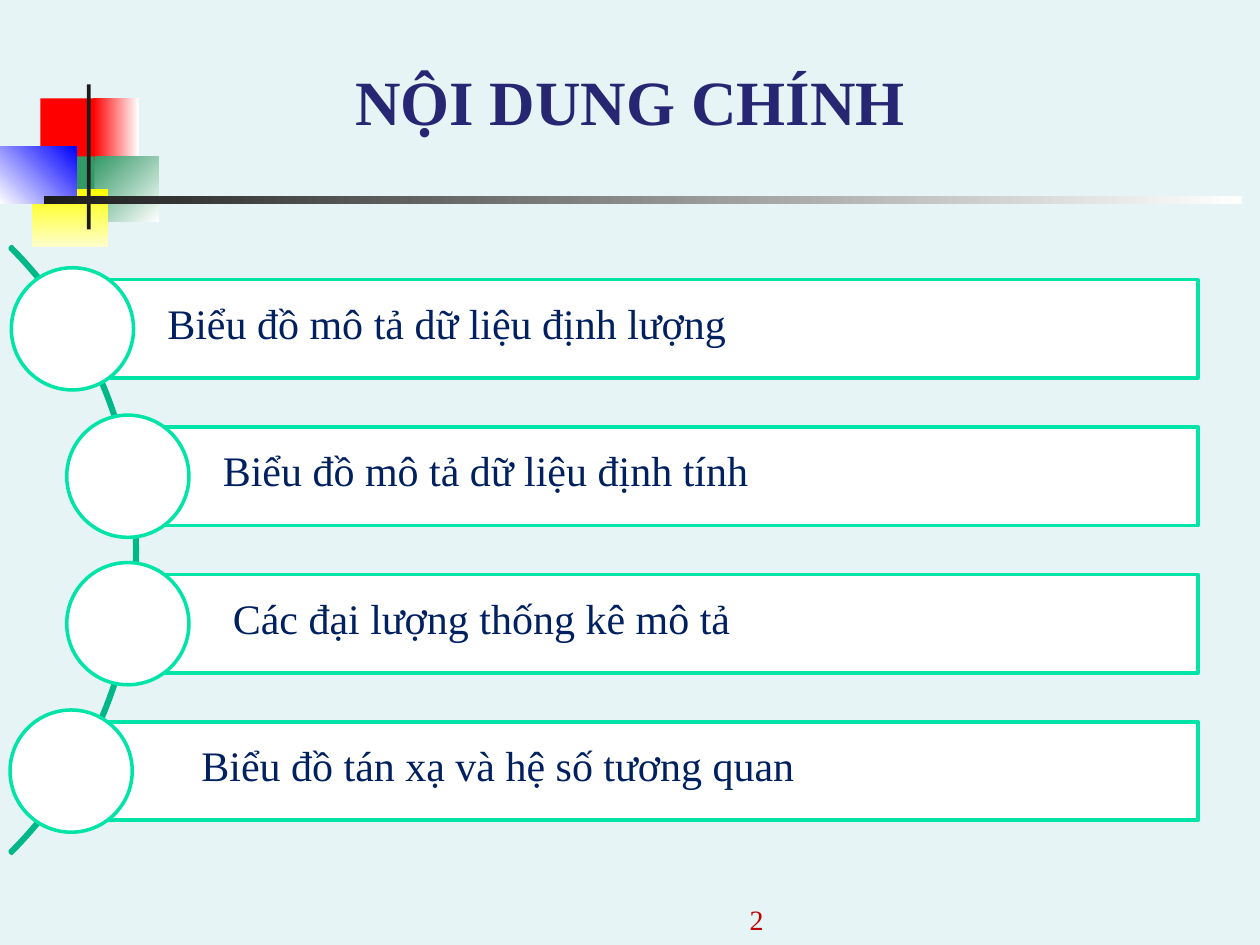
"""Build the agenda slide: a title, a corner ornament and four topics along an arc."""
from dataclasses import dataclass
from typing import Optional

from pptx import Presentation
from pptx.dml.color import RGBColor
from pptx.enum.shapes import MSO_SHAPE
from pptx.enum.text import MSO_ANCHOR, MSO_AUTO_SIZE, PP_ALIGN
from pptx.util import Inches, Pt


@dataclass(frozen=True)
class Theme:
    font: str = "Times New Roman"
    background: str = "E7F4F5"
    title: str = "262673"
    text: str = "002060"
    number: str = "C00000"
    panel: str = "FFFFFF"
    outline: str = "00E4A8"
    arc: str = "00B787"
    title_size: int = 36
    text_size: int = 24
    number_size: int = 16
    line_width: int = 2


@dataclass(frozen=True)
class Block:
    x: float
    y: float
    w: float
    h: float
    color: str
    end: Optional[str] = None
    angle: int = 0


@dataclass(frozen=True)
class Topic:
    text: str
    bar_x: float
    circle_x: float
    text_x: float


THEME = Theme()
ORNAMENT = [
    Block(0.32, 0.78, 0.48, 0.52, "FF0000"),
    Block(0.74, 0.78, 0.36, 0.52, "FF0000", "FFFFFF"),
    Block(0.75, 1.24, 0.51, 0.52, "339966", "FFFFFF", 315),
    Block(0.43, 1.24, 0.32, 0.52, "339966"),
    Block(0.25, 1.5, 0.61, 0.46, "FFFF00", "FFFFCC", 270),
    Block(0, 1.16, 0.61, 0.46, "FFFFFF", "0000FF", 45),
    Block(0.69, 0.67, 0.03, 1.15, "1C1C1C"),
    Block(0.35, 1.56, 9.51, 0.06, "1C1C1C", "FFFFFF"),
]
TOPICS = [
    Topic("Biểu đồ mô tả dữ liệu định lượng", 0.57, 0.09, 1.23),
    Topic("Biểu đồ mô tả dữ liệu định tính", 1.02, 0.53, 1.67),
    Topic("Các đại lượng thống kê mô tả", 1.02, 0.53, 1.75),
    Topic("Biểu đồ tán xạ và hệ số tương quan", 0.57, 0.08, 1.5),
]
TOP, PITCH = 2.22, 1.17
BAR_RIGHT, BAR_H, CIRCLE = 9.51, 0.78, 0.97


def add_shape(s, kind: MSO_SHAPE, x: float, y: float, w: float, h: float):
    sp = s.shapes.add_shape(kind, Inches(x), Inches(y), Inches(w), Inches(h))
    sp.shadow.inherit = False
    return sp


def add_block(s, block: Block) -> None:
    sp = add_shape(s, MSO_SHAPE.RECTANGLE, block.x, block.y, block.w, block.h)
    sp.line.fill.background()
    if block.end is None:
        sp.fill.solid()
        sp.fill.fore_color.rgb = RGBColor.from_string(block.color)
        return
    sp.fill.gradient()
    sp.fill.gradient_angle = block.angle
    for stop, color in zip(sp.fill.gradient_stops, (block.color, block.end)):
        stop.color.rgb = RGBColor.from_string(color)


def outline(sp, color: str) -> None:
    sp.line.color.rgb = RGBColor.from_string(color)
    sp.line.width = Pt(THEME.line_width)


def add_panel(s, kind: MSO_SHAPE, x: float, y: float, w: float, h: float) -> None:
    sp = add_shape(s, kind, x, y, w, h)
    sp.fill.solid()
    sp.fill.fore_color.rgb = RGBColor.from_string(THEME.panel)
    outline(sp, THEME.outline)


def add_arc(s) -> None:
    sp = add_shape(s, MSO_SHAPE.BLOCK_ARC, -5.72, 0.96, 6.81, 6.81)
    for i, value in enumerate((189, 27, 0.003)):
        sp.adjustments[i] = value
    sp.fill.background()
    outline(sp, THEME.arc)


def write(sp, text: str, size: int, color: str, align: PP_ALIGN = PP_ALIGN.LEFT,
          anchor: MSO_ANCHOR = MSO_ANCHOR.TOP, bold: bool = False) -> None:
    tf = sp.text_frame
    tf.text = text
    tf.word_wrap = True
    tf.auto_size = MSO_AUTO_SIZE.NONE
    tf.vertical_anchor = anchor
    p = tf.paragraphs[0]
    p.alignment = align
    r = p.runs[0]
    r.font.name = THEME.font
    r.font.size = Pt(size)
    r.font.bold = bold
    r.font.color.rgb = RGBColor.from_string(color)


def add_title(s, text: str) -> None:
    sp = s.shapes.title
    sp.left, sp.top, sp.width, sp.height = Inches(0), Inches(0.42), Inches(10), Inches(0.73)
    write(sp, text, THEME.title_size, THEME.title, PP_ALIGN.CENTER, MSO_ANCHOR.BOTTOM, True)


def add_text(s, x: float, y: float, w: float, h: float):
    return s.shapes.add_textbox(Inches(x), Inches(y), Inches(w), Inches(h))


def add_topic(s, topic: Topic, y: float) -> None:
    add_panel(s, MSO_SHAPE.RECTANGLE, topic.bar_x, y, BAR_RIGHT - topic.bar_x, BAR_H)
    add_panel(s, MSO_SHAPE.OVAL, topic.circle_x, y + (BAR_H - CIRCLE) / 2, CIRCLE, CIRCLE)
    sp = add_text(s, topic.text_x, y + 0.09, 7.35, 0.5)
    write(sp, topic.text, THEME.text_size, THEME.text)


def main() -> None:
    prs = Presentation()
    prs.slide_width, prs.slide_height = Inches(10), Inches(7.5)
    s = prs.slides.add_slide(prs.slide_layouts[5])
    s.background.fill.solid()
    s.background.fill.fore_color.rgb = RGBColor.from_string(THEME.background)
    for block in ORNAMENT:
        add_block(s, block)
    add_title(s, "NỘI DUNG CHÍNH")
    add_arc(s)
    for i, topic in enumerate(TOPICS):
        add_topic(s, topic, TOP + i * PITCH)
    write(add_text(s, 3.83, 7.08, 2.33, 0.4), "2", THEME.number_size, THEME.number,
          PP_ALIGN.RIGHT, MSO_ANCHOR.BOTTOM)
    prs.save("out.pptx")


if __name__ == "__main__":
    main()
